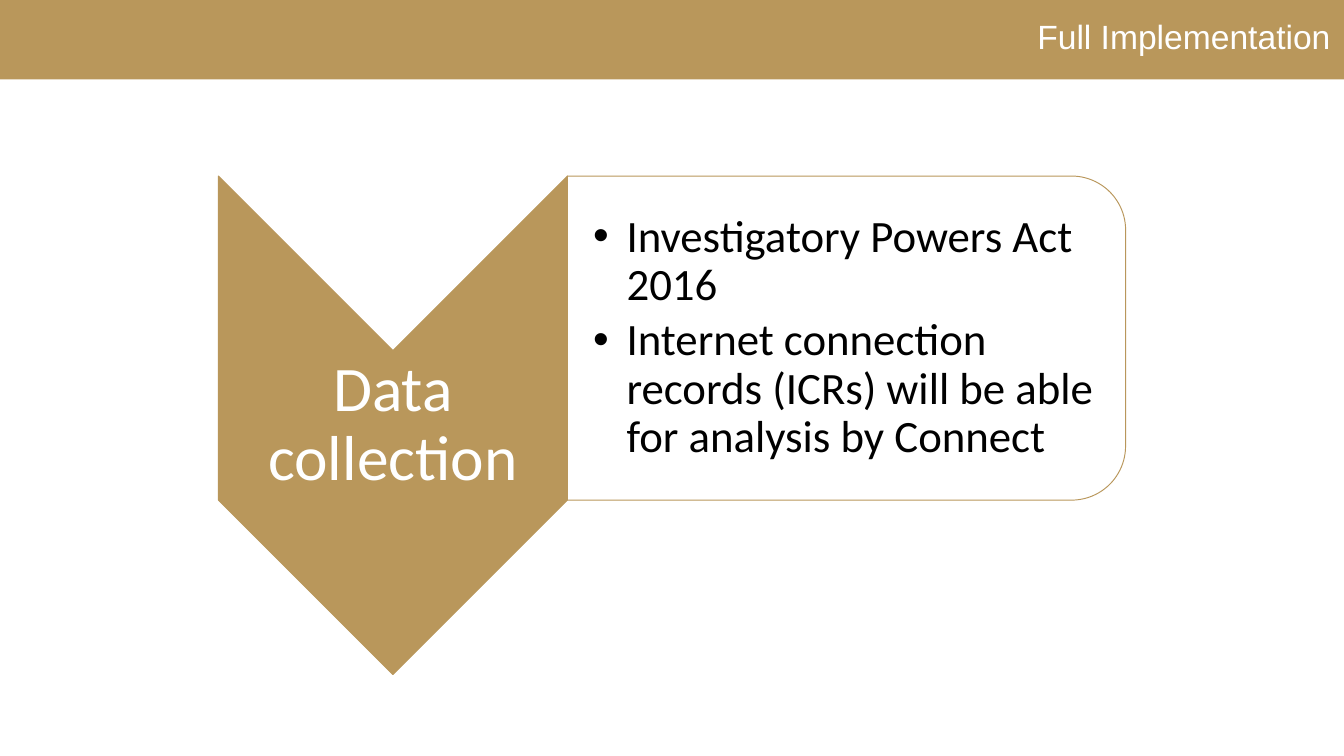
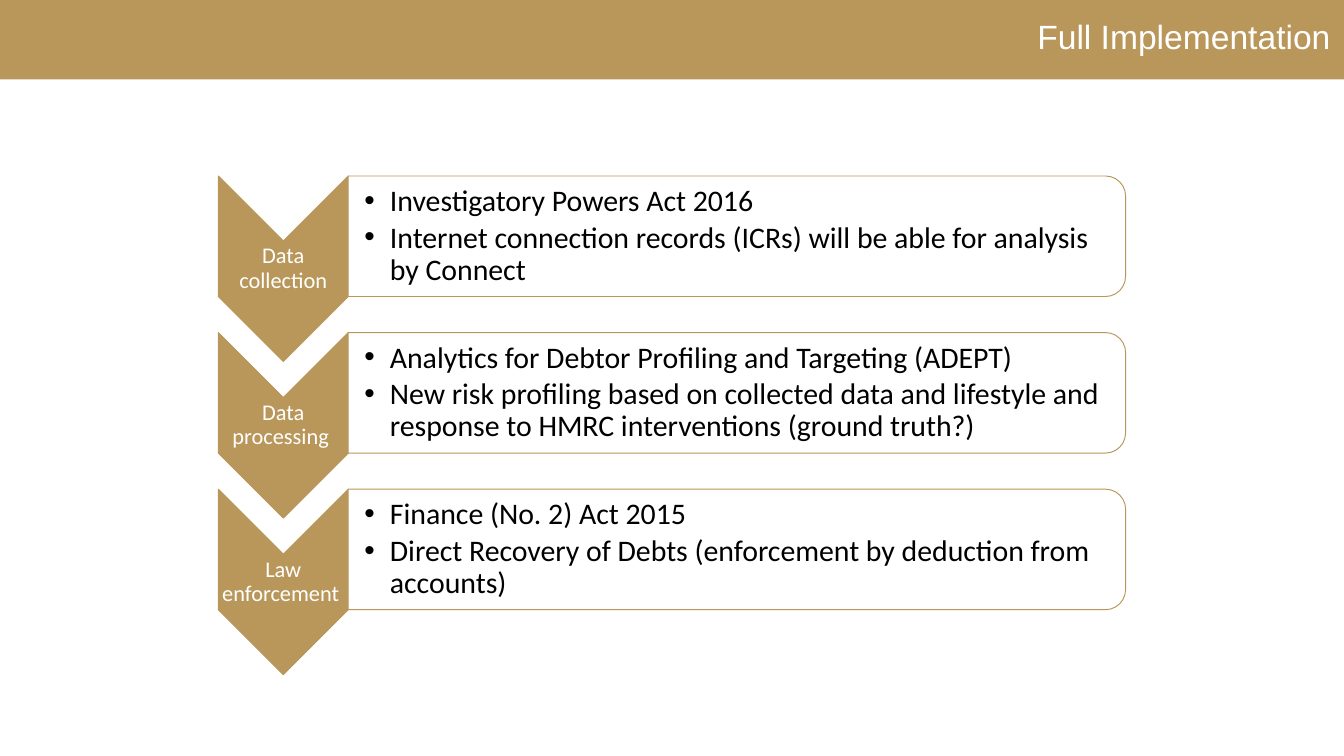
from lxml.etree import SubElement
from pptx import Presentation
from pptx.dml.color import RGBColor
from pptx.enum.shapes import MSO_SHAPE as SHAPE
from pptx.enum.text import MSO_ANCHOR as ANCHOR, MSO_AUTO_SIZE as AUTO_SIZE, PP_ALIGN as ALIGN
from pptx.oxml.ns import qn
from pptx.util import Inches, Pt

HEADING = "Full Implementation"
STAGES = [
    ("Data collection", [
        "Investigatory Powers Act 2016",
        "Internet connection records (ICRs) will be able for analysis by Connect"]),
    ("Data processing ", [
        "Analytics for Debtor Profiling and Targeting (ADEPT)",
        "New risk profiling based on collected data and lifestyle and "
        "response to HMRC interventions (ground truth?)"]),
    ("Law enforcement ", [
        "Finance (No. 2) Act 2015",
        "Direct Recovery of Debts (enforcement by deduction from accounts)"]),
]
SLIDES = [
    dict(stages=STAGES[:1], arrow_length=3.71, label_size=34, detail_size=24,
         indent=0.25, inset=0.02, detail_inset=0.19),
    dict(stages=STAGES, arrow_length=1.38, label_size=12, detail_size=16,
         indent=0.19, inset=0.01, detail_inset=0.12),
]

GOLD, WHITE, BLACK = "B9975B", "FFFFFF", "000000"
WIDTH = 10
HEIGHT = WIDTH * 9 / 16
BAND_HEIGHT = 0.59
TOP, DIAGRAM_WIDTH, DIAGRAM_HEIGHT = 1.31, 6.75, 3.71
LEFT = (WIDTH - DIAGRAM_WIDTH) / 2
ARROW_WIDTH, PANEL_HEIGHT = 0.7, 0.65  # shares of the arrow length
CORNER = 1 / 6  # corner radius as a share of the panel height


def rgb(value):
    return RGBColor.from_string(value)


def box(*lengths):
    return [Inches(length) for length in lengths]


def add_filled(shapes, kind, place, fill, line=None):
    shape = shapes.add_shape(kind, *box(*place))
    shape.shadow.inherit = False
    shape.fill.solid()
    shape.fill.fore_color.rgb = rgb(fill)
    if line:
        shape.line.color.rgb = rgb(line)
        shape.line.width = Pt(0.5)
    else:
        shape.line.fill.background()
    return shape


def add_turned(shapes, kind, left, top, width, height, fill):
    """Add a shape turned by 90 degrees that covers the given area."""
    shift = (width - height) / 2
    shape = add_filled(shapes, kind, (left + shift, top - shift, height, width), fill, GOLD)
    shape.rotation = 90
    return shape


def format_paragraph(paragraph, text, size, color, font, align, after=0):
    paragraph.text = text
    settings = dict(alignment=align, line_spacing=0.9, space_before=Pt(0),
                    space_after=Pt(size * after))
    for name, value in settings.items():
        setattr(paragraph, name, value)
    for name, value in dict(size=Pt(size), name=font).items():
        setattr(paragraph.font, name, value)
    paragraph.font.color.rgb = rgb(color)


def add_text(shapes, place, inset, left_inset):
    frame = shapes.add_textbox(*box(*place)).text_frame
    settings = dict(word_wrap=True, vertical_anchor=ANCHOR.MIDDLE,
                    margin_left=Inches(left_inset), margin_right=Inches(inset),
                    margin_top=Inches(inset), margin_bottom=Inches(inset))
    for name, value in settings.items():
        setattr(frame, name, value)
    return frame


def add_bullet(paragraph, indent):
    properties = paragraph._p.get_or_add_pPr()
    properties.set("marL", str(Inches(indent)))
    properties.set("indent", str(-Inches(indent)))
    SubElement(properties, qn("a:buFont"), typeface="Arial")
    SubElement(properties, qn("a:buChar"), char="•")


def add_stage(shapes, top, label, details, look):
    length, inset = look["arrow_length"], look["inset"]
    arrow_width, panel_height = length * ARROW_WIDTH, length * PANEL_HEIGHT
    panel_left, panel_width = LEFT + arrow_width, DIAGRAM_WIDTH - arrow_width
    trim = 0.29 * CORNER * panel_height  # keeps the text clear of the round corners

    add_turned(shapes, SHAPE.CHEVRON, LEFT, top, arrow_width, length, GOLD)
    frame = add_text(shapes, (LEFT, top + arrow_width / 2, arrow_width, length - arrow_width),
                     inset, inset)
    format_paragraph(frame.paragraphs[0], label, look["label_size"], WHITE,
                     "Calibri", ALIGN.CENTER, 0.35)

    panel = add_turned(shapes, SHAPE.ROUND_2_SAME_RECTANGLE, panel_left, top,
                       panel_width, panel_height, WHITE)
    panel_color = panel._element.spPr.find(qn("a:solidFill"))[0]
    SubElement(panel_color, qn("a:alpha"), val="90000")
    frame = add_text(shapes, (panel_left, top + trim, panel_width - trim, panel_height - 2 * trim),
                     inset, look["detail_inset"])
    for number, detail in enumerate(details):
        paragraph = frame.add_paragraph() if number else frame.paragraphs[0]
        add_bullet(paragraph, look["indent"])
        format_paragraph(paragraph, detail, look["detail_size"], BLACK,
                         "Calibri", ALIGN.LEFT, 0.15)


def add_heading(slide):
    title = slide.shapes.title
    title.left, title.top, title.width, title.height = box(0, 0, WIDTH, BAND_HEIGHT - 0.01)
    title.text_frame.auto_size = AUTO_SIZE.NONE
    title.text_frame.vertical_anchor = ANCHOR.MIDDLE
    format_paragraph(title.text_frame.paragraphs[0], HEADING, 18, WHITE, "Arial", ALIGN.RIGHT)


def main():
    deck = Presentation()
    deck.slide_width, deck.slide_height = box(WIDTH, HEIGHT)
    layout = deck.slide_layouts.get_by_name("Title Only")
    for number, look in enumerate(SLIDES):
        slide = deck.slides.add_slide(layout)
        if number == 0:  # the layout holds the band for all slides
            band = add_filled(slide.shapes, SHAPE.RECTANGLE, (0, 0, WIDTH, BAND_HEIGHT), GOLD)
            layout.shapes.element.insert(2, band._element)
        add_heading(slide)
        diagram = slide.shapes.add_group_shape()
        stages = look["stages"]
        pitch = (DIAGRAM_HEIGHT - look["arrow_length"]) / max(len(stages) - 1, 1)
        for row, (label, details) in enumerate(stages):
            add_stage(diagram.shapes, TOP + row * pitch, label, details, look)
    deck.save("out.pptx")


if __name__ == "__main__":
    main()
